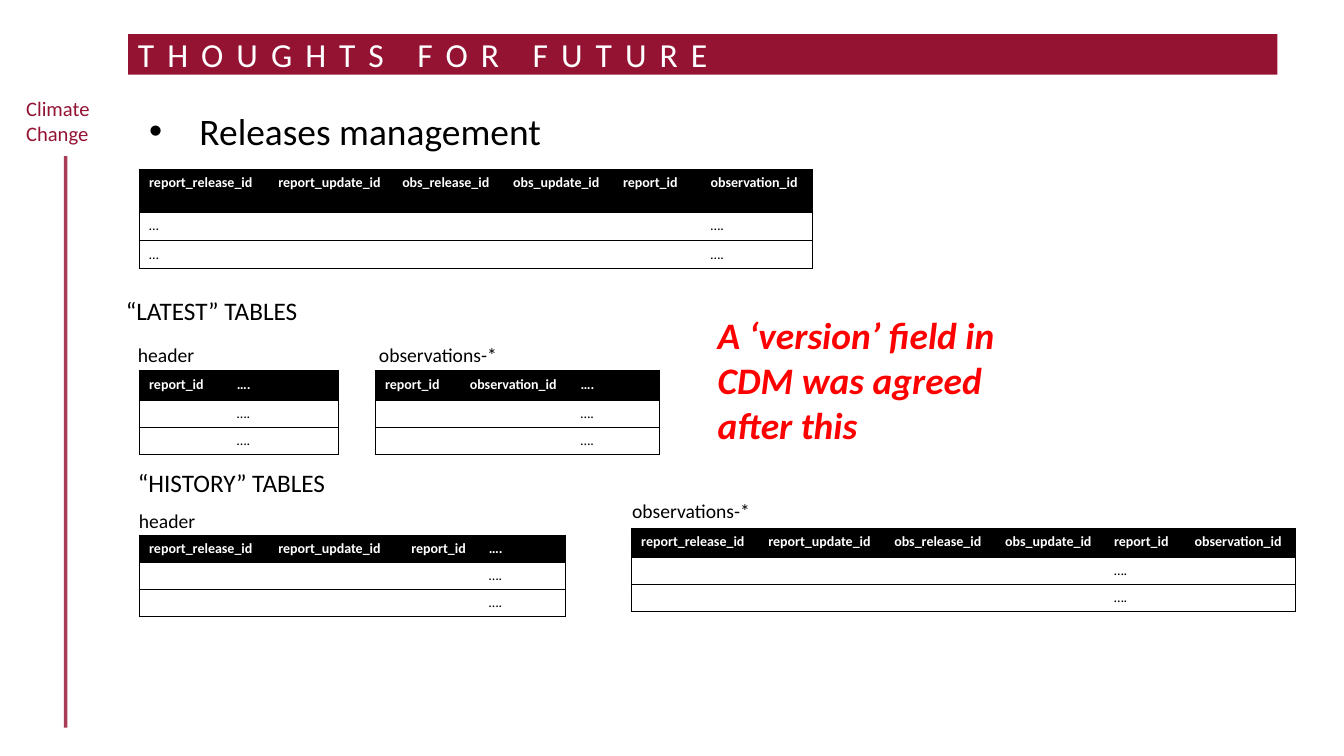
"""Build the slide on release management tables."""
import dataclasses

import lxml.etree
import pptx
import pptx.dml.color
import pptx.enum.shapes
import pptx.enum.text
import pptx.oxml.ns
import pptx.util

Inches = pptx.util.Inches
Pt = pptx.util.Pt
qn = pptx.oxml.ns.qn


@dataclasses.dataclass(frozen=True)
class Theme:
    font: str = "Calibri"
    brand: str = "941333"
    black: str = "000000"
    white: str = "FFFFFF"
    alert: str = "FF0000"
    title: float = 24
    body: float = 26.7
    head: float = 18
    label: float = 14
    side: float = 14.7
    cell: float = 10
    rule: float = 2.5
    edge: float = 0.75


def tint(code):
    return pptx.dml.color.RGBColor.from_string(code)


def add(parent, tag, **attrs):
    return lxml.etree.SubElement(parent, qn(tag), attrs)


def write(frame, text, font, size, color, bold=False, slant=False, track=0, bullet=False):
    for i, line in enumerate(text.split("\n")):
        para = frame.add_paragraph() if i else frame.paragraphs[0]
        para.alignment = pptx.enum.text.PP_ALIGN.LEFT
        if bullet:
            props = para._p.get_or_add_pPr()
            props.set("marL", str(Inches(0.5)))
            props.set("indent", str(-Inches(0.5)))
            add(props, "a:buFont", typeface="Arial")
            add(props, "a:buChar", char="•")
        if not line:
            para._p.get_or_add_endParaRPr().set("sz", str(int(size * 100)))
            continue
        run = para.add_run()
        run.text = line
        run.font.name = font
        run.font.size = Pt(size)
        run.font.bold = bold
        run.font.italic = slant
        run.font.color.rgb = tint(color)
        if track:
            run._r.get_or_add_rPr().set("spc", str(int(track * 100)))


class Deck:
    def __init__(self, slide, theme):
        self.slide = slide
        self.theme = theme

    def text(self, box, text, size, color=None, wrap=True, **style):
        shape = self.slide.shapes.add_textbox(*map(Inches, box))
        shape.text_frame.word_wrap = wrap
        write(shape.text_frame, text, self.theme.font, size, color or self.theme.black, **style)

    def banner(self, box, text):
        theme = self.theme
        kind = pptx.enum.shapes.MSO_SHAPE.RECTANGLE
        shape = self.slide.shapes.add_shape(kind, *map(Inches, box))
        shape.shadow.inherit = False
        shape.fill.solid()
        shape.fill.fore_color.rgb = tint(theme.brand)
        shape.line.fill.background()
        shape.text_frame.vertical_anchor = pptx.enum.text.MSO_ANCHOR.MIDDLE
        write(shape.text_frame, text, theme.font, theme.title, theme.white, track=9.3)

    def line(self, start, end, alpha):
        kind = pptx.enum.shapes.MSO_CONNECTOR.STRAIGHT
        rule = self.slide.shapes.add_connector(kind, *map(Inches, start + end))
        rule.line.width = Pt(self.theme.rule)
        rule.line.color.rgb = tint(self.theme.brand)
        shade = next(rule._element.spPr.iter(qn("a:srgbClr")))
        add(shade, "a:alpha", val=str(alpha * 1000))
        add(rule._element.spPr, "a:effectLst")

    def edges(self, cell, first, last):
        props = cell._tc.get_or_add_tcPr()
        for side, drawn in (("L", first), ("R", last), ("T", True), ("B", True)):
            line = add(props, f"a:ln{side}", w=str(Pt(self.theme.edge)))
            if drawn:
                add(add(line, "a:solidFill"), "a:srgbClr", val=self.theme.black)
            else:
                add(line, "a:noFill")

    def table(self, left, top, heads, wide, tall, marks):
        theme = self.theme
        rows = [heads] + [[marks.get(c, "") for c in range(len(heads))]] * 2
        size = map(Inches, (left, top, sum(wide), sum(tall)))
        grid = self.slide.shapes.add_table(len(rows), len(heads), *size).table
        for col, width in zip(grid.columns, wide):
            col.width = Inches(width)
        for r, row in enumerate(rows):
            grid.rows[r].height = Inches(tall[r])
            fill, ink = (theme.white, theme.black) if r else (theme.black, theme.white)
            for c, text in enumerate(row):
                cell = grid.cell(r, c)
                self.edges(cell, c == 0, c == len(row) - 1)
                cell.fill.solid()
                cell.fill.fore_color.rgb = tint(fill)
                write(cell.text_frame, text, theme.font, theme.cell, ink, bold=r == 0)


def main():
    show = pptx.Presentation()
    show.slide_width = Inches(13.33)
    show.slide_height = Inches(7.5)
    theme = Theme()
    deck = Deck(show.slides.add_slide(show.slide_layouts[6]), theme)

    deck.line((0.65, 1.55), (0.65, 7.22), 81)
    deck.text((0.16, 0.9, 1.28, 0.59), "Climate\nChange", theme.side, theme.brand)
    deck.text((1.38, 1.02, 11.29, 0.54), "Releases management", theme.body, bullet=True)
    deck.banner((1.27, 0.34, 11.4, 0.4), "THOUGHTS FOR FUTURE")

    report = ["report_release_id", "report_update_id"]
    full = report + ["obs_release_id", "obs_update_id", "report_id", "observation_id"]
    tall = (0.29, 0.27, 0.27)
    dots = "…."
    for table in (
        (1.38, 1.68, full, (1.28, 1.23, 1.1, 1.09, 0.87, 1.11), (0.43, 0.28, 0.27),
         {0: "…", 5: dots}),
        (1.38, 3.68, ["report_id", dots], (0.87, 1.11), tall, {1: dots}),
        (3.72, 3.68, ["report_id", "observation_id", dots], (0.84, 1.1, 0.88), tall, {2: dots}),
        (1.38, 5.31, report + ["report_id", dots], (1.28, 1.32, 0.77, 0.86),
         (0.27, 0.27, 0.27), {3: dots}),
        (6.26, 5.24, full, (1.26, 1.25, 1.1, 1.08, 0.8, 1.1), tall, {4: dots}),
    ):
        deck.table(*table)

    for left, top, wide, text in (
        (1.15, 2.88, 1.92, "“LATEST” TABLES"),
        (1.27, 4.59, 2.07, "“HISTORY” TABLES"),
    ):
        deck.text((left, top, wide, 0.4), text, theme.head, wrap=False)
    for left, top, wide, text in (
        (1.27, 3.35, 0.77, "header"),
        (3.66, 3.35, 1.39, "observations-*"),
        (1.28, 5, 0.77, "header"),
        (6.17, 4.9, 1.39, "observations-*"),
    ):
        deck.text((left, top, wide, 0.34), text, theme.label, wrap=False)
    deck.text((7.02, 3.05, 3.36, 1.37), "A ‘version’ field in CDM was agreed after this",
              theme.body, theme.alert, bold=True, slant=True)
    show.save("out.pptx")


if __name__ == "__main__":
    main()
